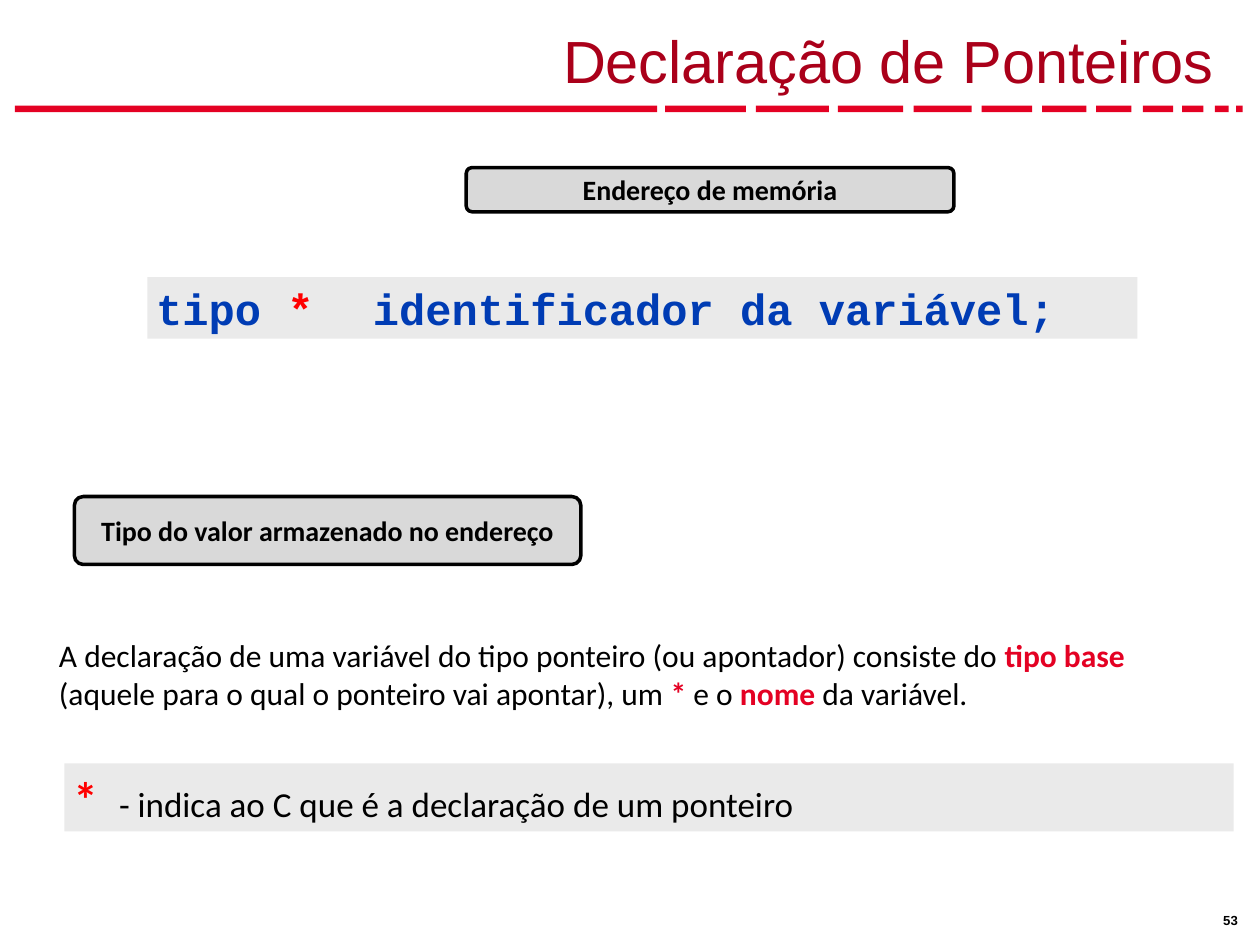
from lxml import etree
from pptx import Presentation
from pptx.dml.color import RGBColor
from pptx.enum import shapes, text
from pptx.oxml.ns import qn
from pptx.util import Cm, Pt

RED = RGBColor(0xE4, 0x01, 0x23)
DARK_RED = RGBColor(0xAA, 0x00, 0x1A)
BRIGHT_RED = RGBColor(0xFF, 0x00, 0x00)
BLUE = RGBColor(0x00, 0x3C, 0xB4)
BLACK = RGBColor(0x00, 0x00, 0x00)
GREY = RGBColor(0xD9, 0xD9, 0xD9)
LIGHT_GREY = RGBColor(0xEA, 0xEA, 0xEA)

# Left edge and width of each dash of the title rule, in cm
DASHES = [
    (0.3, 12.95), (13.41, 1.63), (15.24, 1.47), (16.89, 1.32),
    (18.42, 1.17), (19.79, 1.02), (21.01, 0.89), (22.1, 0.71),
    (23.04, 0.61), (23.83, 0.43), (24.49, 0.28), (24.92, 0.13),
]


def add_block(page, kind, left, top, width, height, fill, line=None):
    """Add a filled preset shape, outlined only when a line colour is given."""
    block = page.shapes.add_shape(kind, Cm(left), Cm(top), Cm(width), Cm(height))
    block.shadow.inherit = False
    block.fill.solid()
    block.fill.fore_color.rgb = fill
    if line is None:
        block.line.fill.background()
    else:
        block.line.color.rgb = line
        block.line.width = Pt(2)
    return block


def write(box, spans, font="Calibri", size=18, color=BLACK, bold=False,
          align=text.PP_ALIGN.LEFT, anchor=text.MSO_ANCHOR.TOP,
          margins=(0.25, 0.13), tab=None):
    """Fill a shape with one paragraph; a span is (words, format changes)."""
    frame = box.text_frame
    frame.word_wrap = True
    frame.auto_size = text.MSO_AUTO_SIZE.NONE
    frame.vertical_anchor = anchor
    frame.margin_left = frame.margin_right = Cm(margins[0])
    frame.margin_top = frame.margin_bottom = Cm(margins[1])
    para = frame.paragraphs[0]
    para.alignment = align
    if tab is not None:
        stops = etree.SubElement(para._p.get_or_add_pPr(), qn("a:tabLst"))
        etree.SubElement(stops, qn("a:tab"), pos=str(Cm(tab)), algn="l")
    for words, changes in spans:
        span = para.add_run()
        span.text = words
        span.font.name = font
        span.font.size = Pt(changes.get("size", size))
        span.font.bold = changes.get("bold", bold)
        span.font.color.rgb = changes.get("color", color)


def add_text(page, left, top, width, height, spans, **style):
    box = page.shapes.add_textbox(Cm(left), Cm(top), Cm(width), Cm(height))
    write(box, spans, **style)


def add_label(page, left, top, width, height, words):
    """Add a rounded, outlined label with centred bold text."""
    label = add_block(page, shapes.MSO_SHAPE.ROUNDED_RECTANGLE,
                      left, top, width, height, GREY, BLACK)
    label.adjustments[0] = 0.13
    write(label, [(words, {})], size=16, bold=True, margins=(0, 0),
          align=text.PP_ALIGN.CENTER, anchor=text.MSO_ANCHOR.MIDDLE)


def add_band(page, left, top, width, height, spans, **style):
    """Add a light grey band of text."""
    band = add_block(page, shapes.MSO_SHAPE.RECTANGLE,
                     left, top, width, height, LIGHT_GREY)
    write(band, spans, margins=(0.18, 0.1), **style)


def set_title(page, words):
    title = page.shapes.title
    title.left, title.top = Cm(0.79), Cm(0.2)
    title.width, title.height = Cm(23.93), Cm(1.85)
    write(title, [(words, {})], font="Arial", size=34, color=DARK_RED,
          align=text.PP_ALIGN.RIGHT, anchor=text.MSO_ANCHOR.BOTTOM)


def main():
    deck = Presentation()
    deck.slide_width, deck.slide_height = Cm(25.4), Cm(19.05)
    page = deck.slides.add_slide(deck.slide_layouts[5])

    # Title, dashed rule and page number
    set_title(page, "Declaração de Ponteiros")
    for left, width in DASHES:
        add_block(page, shapes.MSO_SHAPE.RECTANGLE, left, 2.13, width, 0.13, RED)
    add_text(page, 24.46, 18.29, 0.84, 0.51, [("53", {})], font="Arial",
             size=7.5, bold=True, margins=(0.2, 0.1))

    # Declaration syntax with its two labels
    add_label(page, 9.4, 3.38, 9.83, 0.89, "Endereço de memória")
    add_band(page, 2.97, 5.59, 19.96, 1.24,
             [("tipo ", {}), ("*", {"color": BRIGHT_RED}),
              ("\tidentificador da variável;", {})],
             font="Courier New", size=25, color=BLUE, bold=True, tab=4.37)
    add_label(page, 1.5, 10.01, 10.21, 1.37,
              "Tipo do valor armazenado no endereço")

    # Explanation
    strong = {"color": RED, "bold": True}
    add_text(page, 0.94, 12.7, 23.57, 1.8, [
        ("A declaração de uma variável do tipo ponteiro (ou apontador) "
         "consiste do ", {}),
        ("tipo base", strong),
        (" (aquele para o qual o ponteiro vai apontar), um ", {}),
        ("*", strong), (" e o ", {}), ("nome", strong),
        (" da variável.", {}),
    ])
    add_band(page, 1.3, 15.39, 23.57, 1.37,
             [("*", {"size": 28, "color": BRIGHT_RED, "bold": True}),
              ("\t- indica ao C que é a declaração de um ponteiro", {})],
             size=20, tab=0.92)

    deck.save("out.pptx")


if __name__ == "__main__":
    main()
